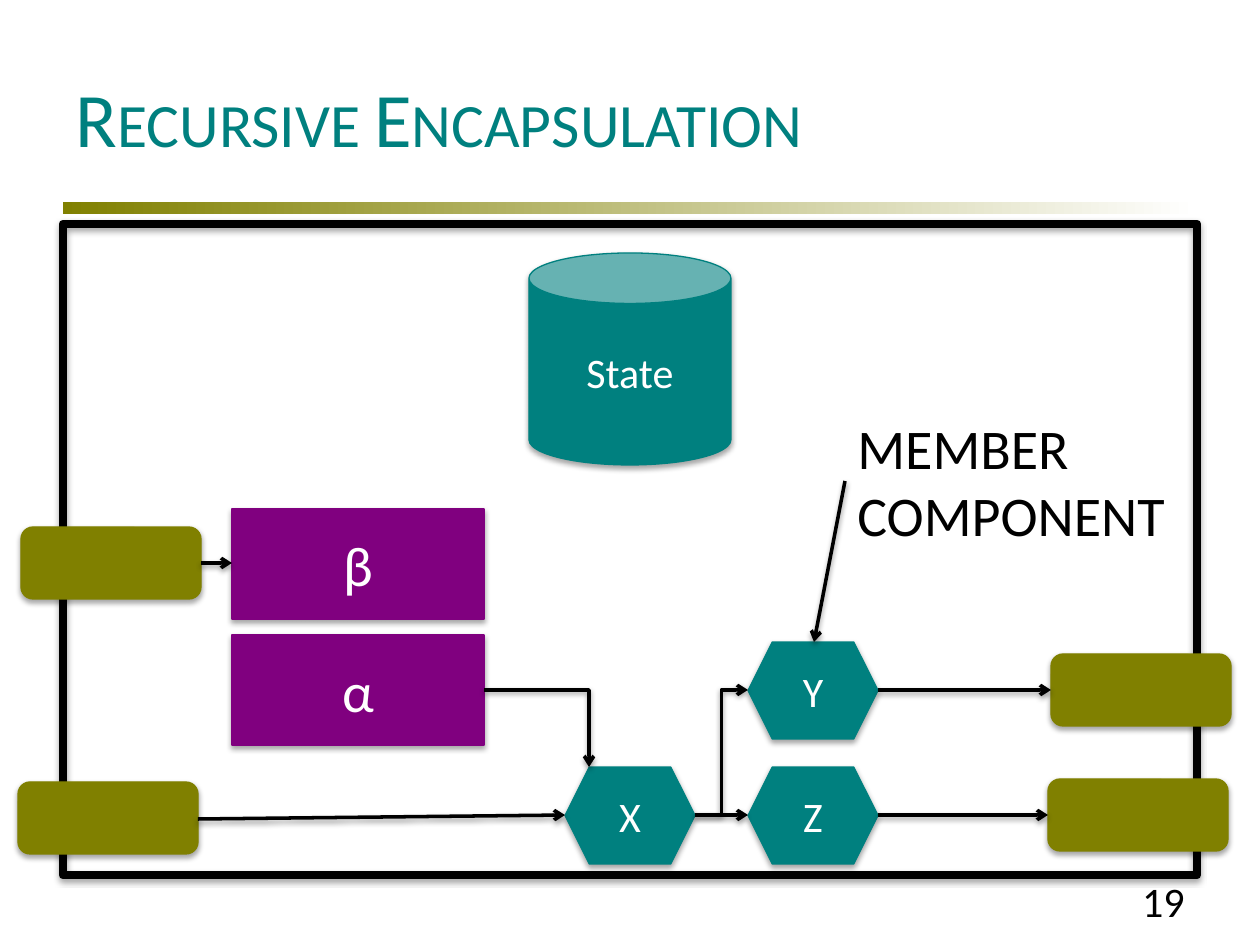
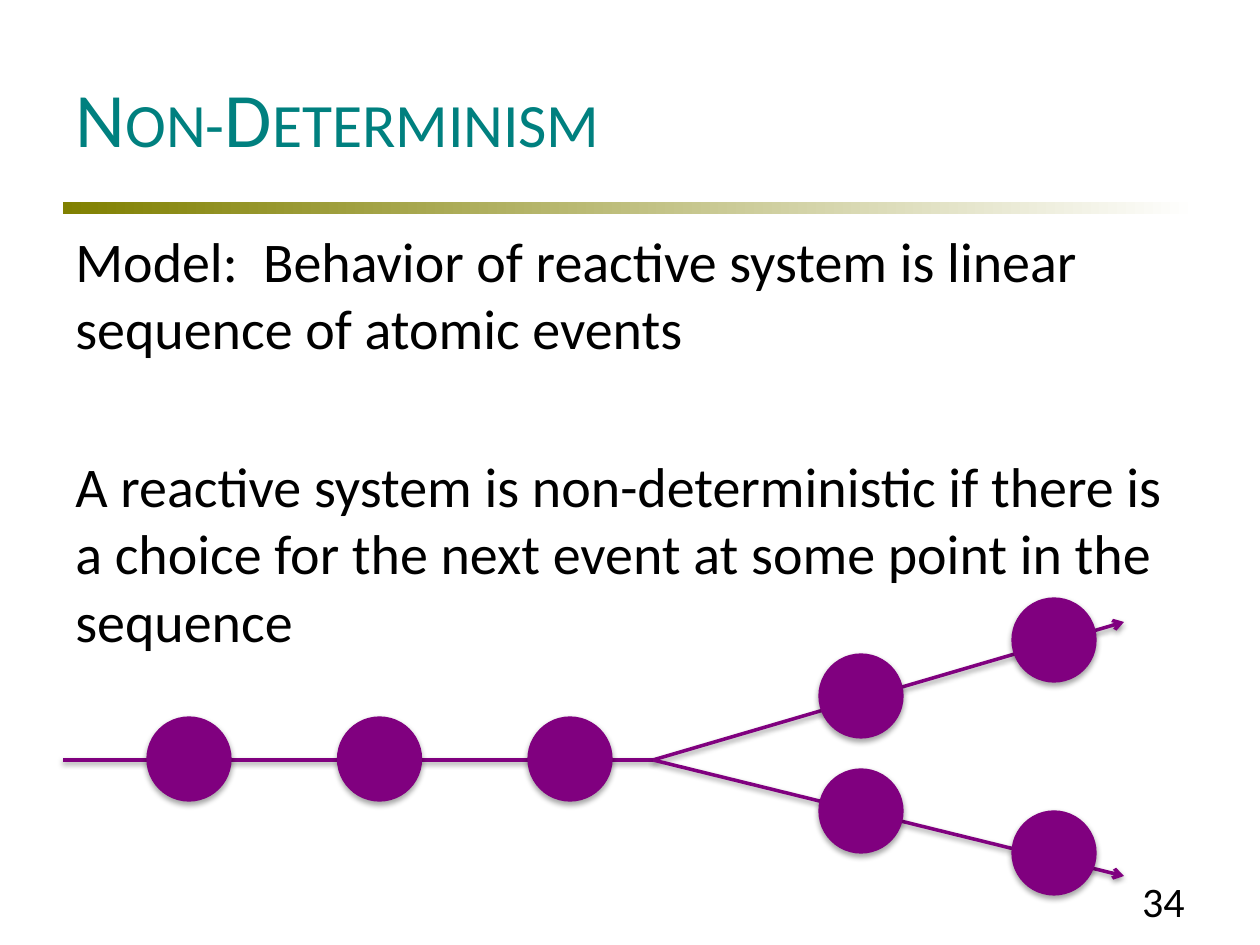
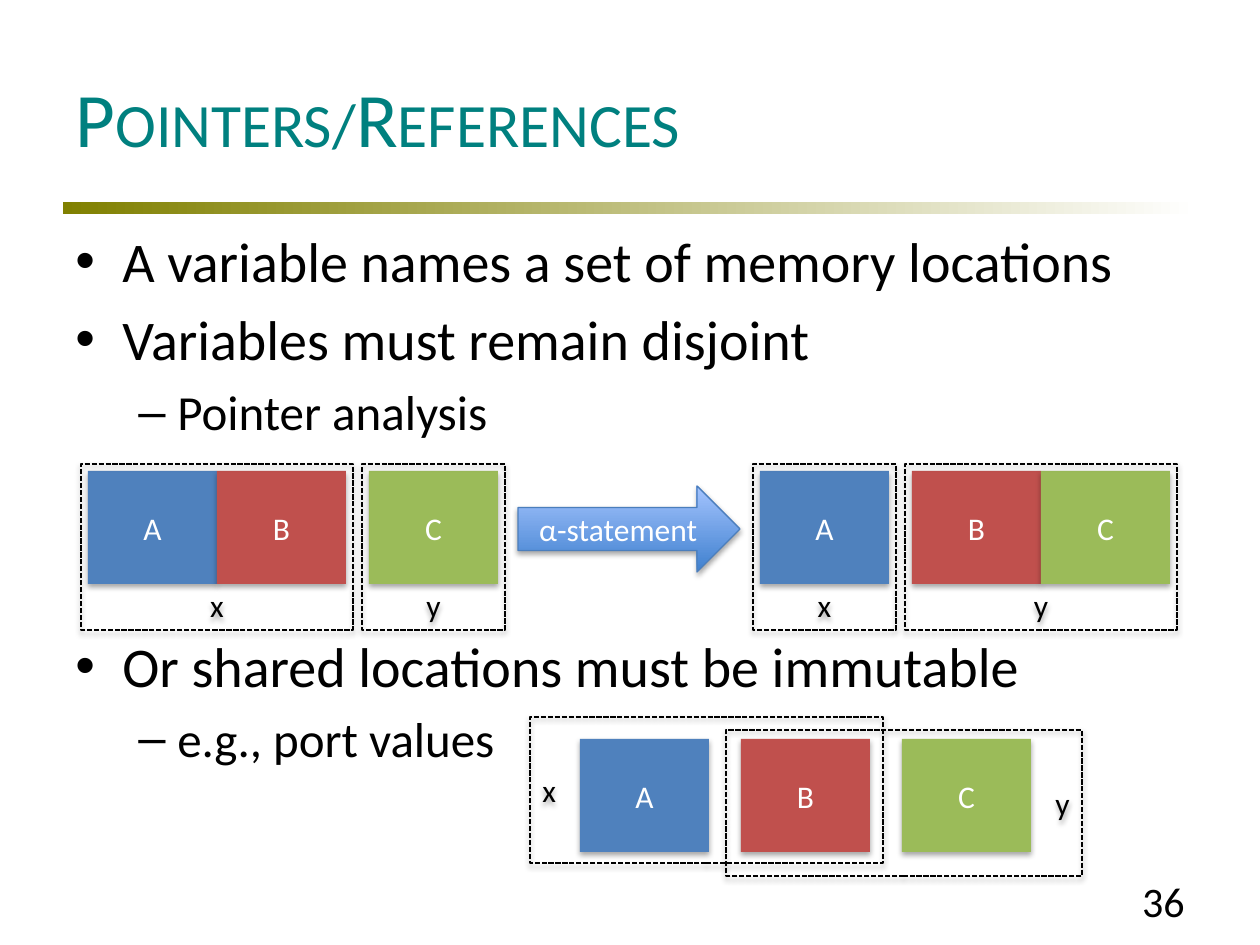
import pptx
import pptx.util
from lxml import etree
from pptx.dml.color import RGBColor
from pptx.enum.dml import MSO_LINE
from pptx.enum.shapes import MSO_CONNECTOR, MSO_SHAPE
from pptx.enum.text import MSO_ANCHOR, PP_ALIGN
from pptx.oxml.ns import qn

EMU_PER_PX = 914400 / 126
FONT = "Calibri"
BLACK = RGBColor(0x00, 0x00, 0x00)
WHITE = RGBColor(0xFF, 0xFF, 0xFF)
TEAL = RGBColor(0x00, 0x80, 0x7F)
OLIVE = RGBColor(0x80, 0x80, 0x00)
PURPLE = RGBColor(0x80, 0x00, 0x7F)
ARROW_DARK = RGBColor(0x3F, 0x80, 0xCE)
ARROW_LIGHT = RGBColor(0xA4, 0xC4, 0xFF)
ARROW_EDGE = RGBColor(0x4B, 0x7E, 0xBC)
CELL_COLORS = {
    "A": RGBColor(0x4F, 0x81, 0xBD),
    "B": RGBColor(0xC0, 0x50, 0x4D),
    "C": RGBColor(0x9B, 0xBB, 0x59),
}
CELL_W, CELL_H = 129, 113
# bullet sign: left margin and hanging indent in px, text size in pt
BULLETS = {"•": (47, 47, 32), "–": (102, 39, 28)}


def px(length):
    return pptx.util.Emu(round(length * EMU_PER_PX))


def add_xml(parent, tag, **attributes):
    return etree.SubElement(parent, qn(tag), attributes)


def drop_shadow(properties, opacity, distance):
    effects = add_xml(properties, "a:effectLst")
    shadow = add_xml(effects, "a:outerShdw", blurRad="40000", dist=str(distance),
                     dir="5400000", rotWithShape="0")
    color = add_xml(shadow, "a:srgbClr", val=str(BLACK))
    add_xml(color, "a:alpha", val=str(opacity * 1000))


def paint_gradient(fill, start, end, angle):
    fill.gradient()
    fill.gradient_angle = angle
    for stop, color in zip(fill.gradient_stops, (start, end)):
        stop.color.rgb = color


def format_runs(paragraph, size, color):
    for run in paragraph.runs:
        run.font.name = FONT
        run.font.size = pptx.util.Pt(size)
        run.font.color.rgb = color


class Deck:
    def __init__(self):
        self.presentation = pptx.Presentation()
        self.presentation.slide_width = px(1260)
        self.presentation.slide_height = px(945)
        self.slide = None

    def start(self, title, number):
        """Begin a slide with its title, gradient band and number."""
        self.slide = self.presentation.slides.add_slide(self.presentation.slide_layouts[5])
        band = self.slide.shapes.add_shape(MSO_SHAPE.RECTANGLE, *map(px, (63, 202, 1134, 12)))
        band.shadow.inherit = False
        band.line.fill.background()
        paint_gradient(band.fill, OLIVE, WHITE, 0)

        heading = self.slide.shapes.title
        heading.left, heading.top, heading.width, heading.height = map(px, (63, 38, 1134, 157))
        heading.text_frame.text = title
        heading.text_frame.vertical_anchor = MSO_ANCHOR.MIDDLE
        paragraph = heading.text_frame.paragraphs[0]
        paragraph.alignment = PP_ALIGN.LEFT
        format_runs(paragraph, 44, TEAL)
        paragraph.runs[0].font._element.set("cap", "small")

        self.text((903, 876, 294, 50), str(number), 24, PP_ALIGN.RIGHT, MSO_ANCHOR.MIDDLE)

    def text(self, box, words, size, align=PP_ALIGN.LEFT, anchor=MSO_ANCHOR.TOP):
        frame = self.slide.shapes.add_textbox(*map(px, box)).text_frame
        frame.word_wrap = True
        frame.vertical_anchor = anchor
        frame.text = words
        for paragraph in frame.paragraphs:
            paragraph.alignment = align
            format_runs(paragraph, size, BLACK)
        return frame

    def body(self, items):
        """Fill the body from (bullet or None, space before in pt, words)."""
        frame = self.text((63, 220, 1134, 624), "\n".join(item[2] for item in items), 32)
        for paragraph, (bullet, space, _) in zip(frame.paragraphs, items):
            paragraph.space_before = pptx.util.Pt(space)
            if bullet:
                margin, hanging, size = BULLETS[bullet]
                format_runs(paragraph, size, BLACK)
                properties = paragraph._p.get_or_add_pPr()
                properties.set("marL", str(px(margin)))
                properties.set("indent", str(-px(hanging)))
                add_xml(properties, "a:buFont", typeface="Arial")
                add_xml(properties, "a:buChar", char=bullet)

    def shape(self, kind, box, fill=None, line=None, width=0.75, dash=None, words="",
              size=18, color=WHITE, align=PP_ALIGN.CENTER, anchor=MSO_ANCHOR.MIDDLE):
        """Add a preset shape; fill is a colour or (start, end, angle)."""
        shape = self.slide.shapes.add_shape(kind, *map(px, box))
        if fill is None:
            shape.fill.background()
        elif isinstance(fill, RGBColor):
            shape.fill.solid()
            shape.fill.fore_color.rgb = fill
        else:
            paint_gradient(shape.fill, *fill)
        if line is not None:
            shape.line.color.rgb = line
            shape.line.width = pptx.util.Pt(width)
            shape.line.dash_style = dash
        else:
            shape.line.fill.background()
        drop_shadow(shape._element.spPr, 35, 23000)
        if words:
            shape.text_frame.text = words
            shape.text_frame.vertical_anchor = anchor
            shape.text_frame.paragraphs[0].alignment = align
            format_runs(shape.text_frame.paragraphs[0], size, color)

    def connector(self, start, end, color=BLACK, arrow=True, preset=None):
        kind = MSO_CONNECTOR.ELBOW if preset else MSO_CONNECTOR.STRAIGHT
        connector = self.slide.shapes.add_connector(kind, *map(px, start + end))
        connector.line.color.rgb = color
        connector.line.width = pptx.util.Pt(2)
        properties = connector._element.spPr
        if preset:
            properties.find(qn("a:prstGeom")).set("prst", preset)
        if arrow:
            add_xml(properties.find(qn("a:ln")), "a:tailEnd", type="arrow")
        drop_shadow(properties, 38, 20000)

    def cell(self, left, top, name):
        self.shape(MSO_SHAPE.RECTANGLE, (left, top, CELL_W, CELL_H), CELL_COLORS[name],
                   words=name)

    def variable(self, box, name, **placing):
        """Dashed outline around the cells that a variable names."""
        self.shape(MSO_SHAPE.RECTANGLE, box, line=BLACK, width=1, dash=MSO_LINE.SQUARE_DOT,
                   words=name, color=BLACK, **placing)


def recursive_encapsulation(deck):
    deck.start("Recursive Encapsulation", 19)
    deck.shape(MSO_SHAPE.CAN, (529, 253, 202, 212), TEAL, TEAL, words="State", size=24)
    deck.shape(MSO_SHAPE.RECTANGLE, (63, 224, 1134, 651), line=BLACK, width=5)
    for left, top in ((21, 527), (1051, 654), (18, 782), (1048, 779)):
        deck.shape(MSO_SHAPE.ROUNDED_RECTANGLE, (left, top, 180, 72), OLIVE, OLIVE)
    for name, top in (("β", 509), ("α", 635)):
        deck.shape(MSO_SHAPE.RECTANGLE, (232, top, 252, 110), PURPLE, PURPLE,
                   words=name, size=32)
    for name, left, top in (("X", 565, 767), ("Z", 748, 767), ("Y", 748, 642)):
        deck.shape(MSO_SHAPE.HEXAGON, (left, top, 130, 97), TEAL, TEAL, words=name, size=24)
    deck.text((845, 407, 352, 149), "MEMBER COMPONENT", 32)
    for start, end in (
        ((201, 563), (232, 563)),
        ((878, 690), (1051, 690)),
        ((198, 819), (565, 815)),
        ((695, 815), (748, 815)),
        ((878, 815), (1048, 815)),
        ((845, 481), (814, 642)),
    ):
        deck.connector(start, end)
    deck.connector((484, 690), (589, 767), preset="bentConnector2")
    deck.connector((695, 815), (748, 690), preset="bentConnector3")


def non_determinism(deck):
    deck.start("Non-Determinism", 34)
    deck.body([
        (None, 6.4, "Model:  Behavior of reactive system is linear sequence of atomic events"),
        (None, 52, "A reactive system is non-deterministic if there is a choice for the next "
                   "event at some point in the sequence"),
    ])
    choice = (653, 760)
    deck.connector((63, 760), choice, PURPLE, arrow=False)
    for outcome in ((1124, 622), (1124, 876)):
        deck.connector(choice, outcome, PURPLE)
    events = [(147 + 190.5 * step, 717) for step in range(3)]
    events += [(819, 654), (819, 769), (1012, 598), (1012, 811)]
    for left, top in events:
        deck.shape(MSO_SHAPE.OVAL, (left, top, 84, 84), PURPLE, PURPLE)


def pointers(deck):
    deck.start("Pointers/References", 36)
    deck.body([
        ("•", 6.4, "A variable names a set of memory locations"),
        ("•", 6.4, "Variables must remain disjoint"),
        ("–", 5.6, "Pointer analysis"),
        ("•", 109, "Or shared locations must be immutable"),
        ("–", 5.6, "e.g., port values"),
    ])
    gap = 7
    for left, names, variable in ((88, "AB", "x"), (369, "C", "y"),
                                  (760, "A", "x"), (912, "BC", "y")):
        for index, name in enumerate(names):
            deck.cell(left + index * CELL_W, 471, name)
        deck.variable((left - gap, 464, len(names) * CELL_W + 2 * gap, 166), variable,
                      anchor=MSO_ANCHOR.BOTTOM)
    deck.shape(MSO_SHAPE.RIGHT_ARROW, (518, 486, 222, 86), (ARROW_DARK, ARROW_LIGHT, 90),
               ARROW_EDGE, words="α-statement")
    for index, name in enumerate("ABC"):
        deck.cell(580 + index * 161, 739, name)
    deck.variable((530, 717, 353, 146), "x", align=PP_ALIGN.LEFT)
    deck.variable((726, 730, 356, 146), "y", align=PP_ALIGN.RIGHT)


def main():
    deck = Deck()
    recursive_encapsulation(deck)
    non_determinism(deck)
    pointers(deck)
    deck.presentation.save("out.pptx")


if __name__ == "__main__":
    main()
